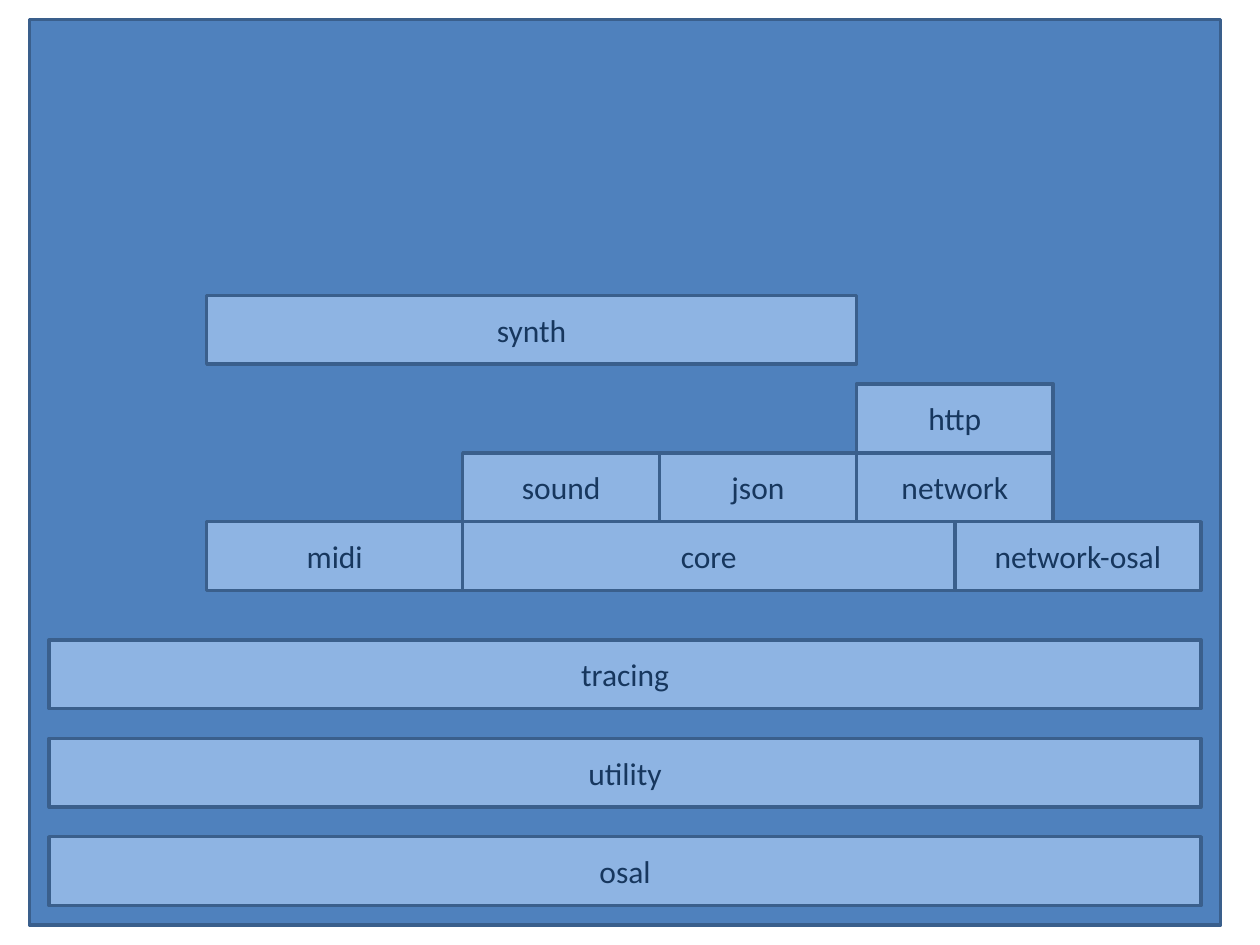
from pptx import Presentation
from pptx.dml.color import RGBColor
from pptx.enum.shapes import MSO_SHAPE
from pptx.enum.text import MSO_ANCHOR, PP_ALIGN
from pptx.util import Inches, Pt

COLORS = {"panel": "4F81BD", "block": "8EB4E3", "edge": "3A5F8C", "text": "17375E"}
WIDE, HIGH = 10, 7.5
COLS = 128
TALL = 7

LAYERS = {
    85: [("osal", 5, 117)],
    75: [("utility", 5, 117)],
    65: [("tracing", 5, 117)],
    53: [("midi", 21, 26), ("core", 47, 50), ("network-osal", 97, 25)],
    46: [("sound", 47, 20), ("json", 67, 20), ("network", 87, 20)],
    39: [("http", 87, 20)],
    30: [("synth", 21, 66)],
}


class Stack:
    """Draws module blocks on a square grid of 128 columns by 96 rows."""

    def __init__(self, slide):
        """Keep the slide and the text style."""
        self.slide = slide
        self.font, self.size = "Calibri", Pt(18)

    def color(self, name):
        """Look up a colour by its role."""
        return RGBColor.from_string(COLORS[name])

    def box(self, col, row, cols, rows, fill):
        """Draw an outlined rectangle in grid cells."""
        area = [Inches(n * WIDE / COLS) for n in (col, row, cols, rows)]
        box = self.slide.shapes.add_shape(MSO_SHAPE.RECTANGLE, *area)
        box.shadow.inherit = False
        box.fill.solid()
        box.fill.fore_color.rgb = self.color(fill)
        box.line.color.rgb = self.color("edge")
        box.line.width = Pt(2)
        return box

    def block(self, label, col, row, cols):
        """Draw a module with its centred name."""
        frame = self.box(col, row, cols, TALL, "block").text_frame
        frame.vertical_anchor = MSO_ANCHOR.MIDDLE
        para = frame.paragraphs[0]
        para.text = label
        para.alignment = PP_ALIGN.CENTER
        para.font.name, para.font.size = self.font, self.size
        para.font.color.rgb = self.color("text")


def main():
    """Build the module stack slide."""
    deck = Presentation()
    deck.slide_width, deck.slide_height = Inches(WIDE), Inches(HIGH)
    stack = Stack(deck.slides.add_slide(deck.slide_layouts[6]))
    stack.box(3, 2, 121, 92, "panel")
    for row, mods in LAYERS.items():
        for label, col, cols in mods:
            stack.block(label, col, row, cols)
    deck.save("out.pptx")


if __name__ == "__main__":
    main()
